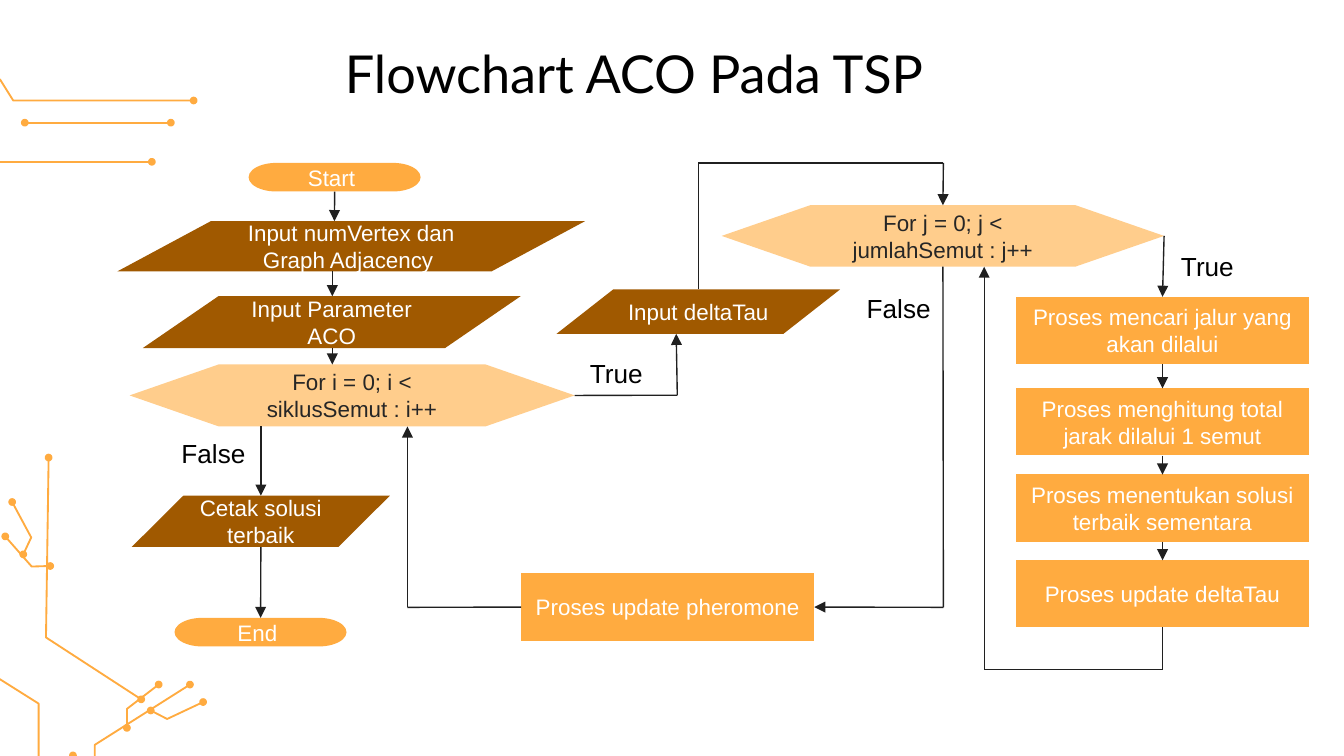
from math import cos, pi, sin

from lxml import etree
from pptx import Presentation
from pptx.dml.color import RGBColor
from pptx.enum.shapes import MSO_CONNECTOR, MSO_SHAPE
from pptx.enum.text import MSO_ANCHOR, MSO_AUTO_SIZE, PP_ALIGN
from pptx.oxml.ns import qn
from pptx.util import Cm, Pt

TERM = MSO_SHAPE.FLOWCHART_TERMINATOR
DATA = MSO_SHAPE.FLOWCHART_DATA
PREP = MSO_SHAPE.FLOWCHART_PREPARATION
PROC = MSO_SHAPE.FLOWCHART_PROCESS
LINE = MSO_CONNECTOR.STRAIGHT
MID = MSO_ANCHOR.MIDDLE
CENTER = PP_ALIGN.CENTER
FIXED = MSO_AUTO_SIZE.NONE
GROW = MSO_AUTO_SIZE.SHAPE_TO_FIT_TEXT

WIDE, HIGH = 25.4, 14.29
hues = {"orange": "FFAB40", "brown": "A05900", "peach": "FFCD8C",
        "ink": "202020", "dark": "262626", "white": "FFFFFF", "black": "000000"}


def hue(name):
    return RGBColor.from_string(hues[name])


def style(para, size, face, color):
    para.font.size = Pt(size)
    para.font.name = face
    para.font.color.rgb = hue(color)


deck = Presentation()
deck.slide_width, deck.slide_height = Cm(WIDE), Cm(HIGH)
slide = deck.slides.add_slide(deck.slide_layouts[5])
shapes = slide.shapes

title = shapes.title
title.left, title.top, title.width, title.height = Cm(1.98), Cm(0.69), Cm(20), Cm(1.35)
frame = title.text_frame
frame.text = "Flowchart ACO Pada TSP"
frame.auto_size = FIXED
frame.vertical_anchor = MID
frame.margin_left = frame.margin_right = frame.margin_top = frame.margin_bottom = Cm(0.25)
frame.paragraphs[0].alignment = CENTER
style(frame.paragraphs[0], 28, "Lato", "black")

traces = [
    [(0, 1.5), (0.25, 1.9), (3.66, 1.9)],
    [(0.47, 2.32), (3.23, 2.32)],
    [(0, 3.06), (2.87, 3.06)],
    [(3.59, 12.94), (1.79, 14.08), (1.79, HIGH)],
    [(3, 12.94), (2.4, 13.4), (2.4, 13.76)],
    [(1.38, 14.28)],
    [(3.84, 13.27), (3.16, 13.59), (2.85, 13.43)],
    [(0, 12.84), (0.73, 13.3), (0.73, HIGH)],
    [(0.1, 10.14), (0.6, 10.71), (0.95, 10.7)],
    [(0.23, 9.49), (0.59, 10.16), (0.44, 10.48)],
    [(2.67, 13.22), (0.87, 12.05), (0.92, 8.65)],
]
turns = [k * pi / 8 for k in range(16)]
for trace in traces:
    loops = [[(x + 0.055 * cos(t), y + 0.055 * sin(t)) for t in turns]
             for x, y in {trace[0], trace[-1]} if x > 0 and y < HIGH]
    if len(trace) > 1:
        loops.append(trace + trace[-2:0:-1])
    pen = None
    for loop in loops:
        dots = [(Cm(x), Cm(y)) for x, y in loop]
        if pen is None:
            pen = shapes.build_freeform(*dots[0])
        else:
            pen.move_to(*dots[0])
        pen.add_line_segments(dots[1:], close=True)
    wire = pen.convert_to_shape()
    wire.shadow.inherit = False
    wire.fill.solid()
    wire.fill.fore_color.rgb = hue("orange")
    wire.line.color.rgb = hue("orange")
    wire.line.width = Pt(1)

steps = [
    ("start", TERM, 4.7, 3.08, 3.25, 0.54, "Start "),
    ("graph", DATA, 2.22, 4.18, 8.84, 0.95, "Input numVertex dan Graph Adjacency "),
    ("param", DATA, 2.7, 5.6, 7.14, 0.98, "Input Parameter ACO"),
    ("cycle", PREP, 2.45, 6.89, 8.41, 1.17, "For i = 0; i < siklusSemut : i++"),
    ("ant", PREP, 13.64, 3.88, 8.36, 1.16, "For j = 0; j < jumlahSemut : j++"),
    ("delta", DATA, 10.52, 5.47, 5.36, 0.84, "Input deltaTau"),
    ("route", PROC, 19.2, 5.61, 5.54, 1.27, "Proses mencari jalur yang akan dilalui"),
    ("total", PROC, 19.2, 7.34, 5.54, 1.27, "Proses menghitung total jarak dilalui 1 semut"),
    ("best", PROC, 19.2, 8.97, 5.54, 1.27, "Proses menentukan solusi terbaik sementara"),
    ("update", PROC, 19.2, 10.59, 5.54, 1.27, "Proses update deltaTau"),
    ("trail", PROC, 9.85, 10.84, 5.54, 1.27, "Proses update pheromone"),
    ("print", DATA, 2.49, 9.37, 4.88, 0.97, "Cetak solusi terbaik"),
    ("end", TERM, 3.3, 11.68, 3.25, 0.54, "End "),
]
looks = {TERM: ("orange", "white"), DATA: ("brown", "white"),
         PREP: ("peach", "dark"), PROC: ("orange", "white")}
boxes = {}
for name, kind, x, y, w, h, text in steps:
    box = boxes[name] = shapes.add_shape(kind, Cm(x), Cm(y), Cm(w), Cm(h))
    fill, color = looks[kind]
    box.shadow.inherit = False
    box.fill.solid()
    box.fill.fore_color.rgb = hue(fill)
    box.line.fill.background()
    box.text_frame.text = text
    box.text_frame.word_wrap = True
    box.text_frame.vertical_anchor = MID
    para = box.text_frame.paragraphs[0]
    para.alignment = CENTER
    style(para, 12, "Arial", color)

flows = [
    [("start", 2), (6.32, 4.18)],
    [(6.28, 5.13), (6.28, 5.6)],
    [(6.28, 6.58), (6.28, 6.89)],
    [("cycle", 3), (12.8, 7.47), (12.78, 6.31)],
    [(13.2, 5.47), (13.2, 3.08), (17.83, 3.08), ("ant", 0)],
    [("ant", 2), (17.83, 11.48), ("trail", 3)],
    [("trail", 1), (7.7, 11.48), (7.7, 8.06)],
    [("ant", 3), ("route", 0)],
    [("route", 2), ("total", 0)],
    [("total", 2), ("best", 0)],
    [("best", 2), ("update", 0)],
    [("update", 2), (21.97, 12.65), (18.6, 12.65), (18.6, 5.04)],
    [(4.93, 8.06), (4.93, 9.37)],
    [(4.93, 10.34), ("end", 0)],
]
for flow in flows:
    for a, b in zip(flow, flow[1:]):
        spots = [(0, 0) if p[0] in boxes else p for p in (a, b)]
        link = shapes.add_connector(LINE, *[Cm(v) for spot in spots for v in spot])
        if a[0] in boxes:
            link.begin_connect(boxes[a[0]], a[1])
        if b[0] in boxes:
            link.end_connect(boxes[b[0]], b[1])
        link.line.color.rgb = hue("ink")
        link.line.width = Pt(0.75)
        props = link.element.spPr
        if b is flow[-1]:
            etree.SubElement(props.find(qn("a:ln")), qn("a:tailEnd"), type="triangle")
        etree.SubElement(props, qn("a:effectLst"))

tags = [("True", 10.9, 6.63, 1.52), ("True", 22.07, 4.6, 1.52),
        ("False", 16.13, 5.41, 1.73), ("False", 3.18, 8.15, 1.73)]
for text, x, y, w in tags:
    frame = shapes.add_textbox(Cm(x), Cm(y), Cm(w), Cm(0.86)).text_frame
    frame.text = text
    frame.word_wrap = False
    frame.auto_size = GROW
    style(frame.paragraphs[0], 14, "Arial", "black")

deck.save("out.pptx")
